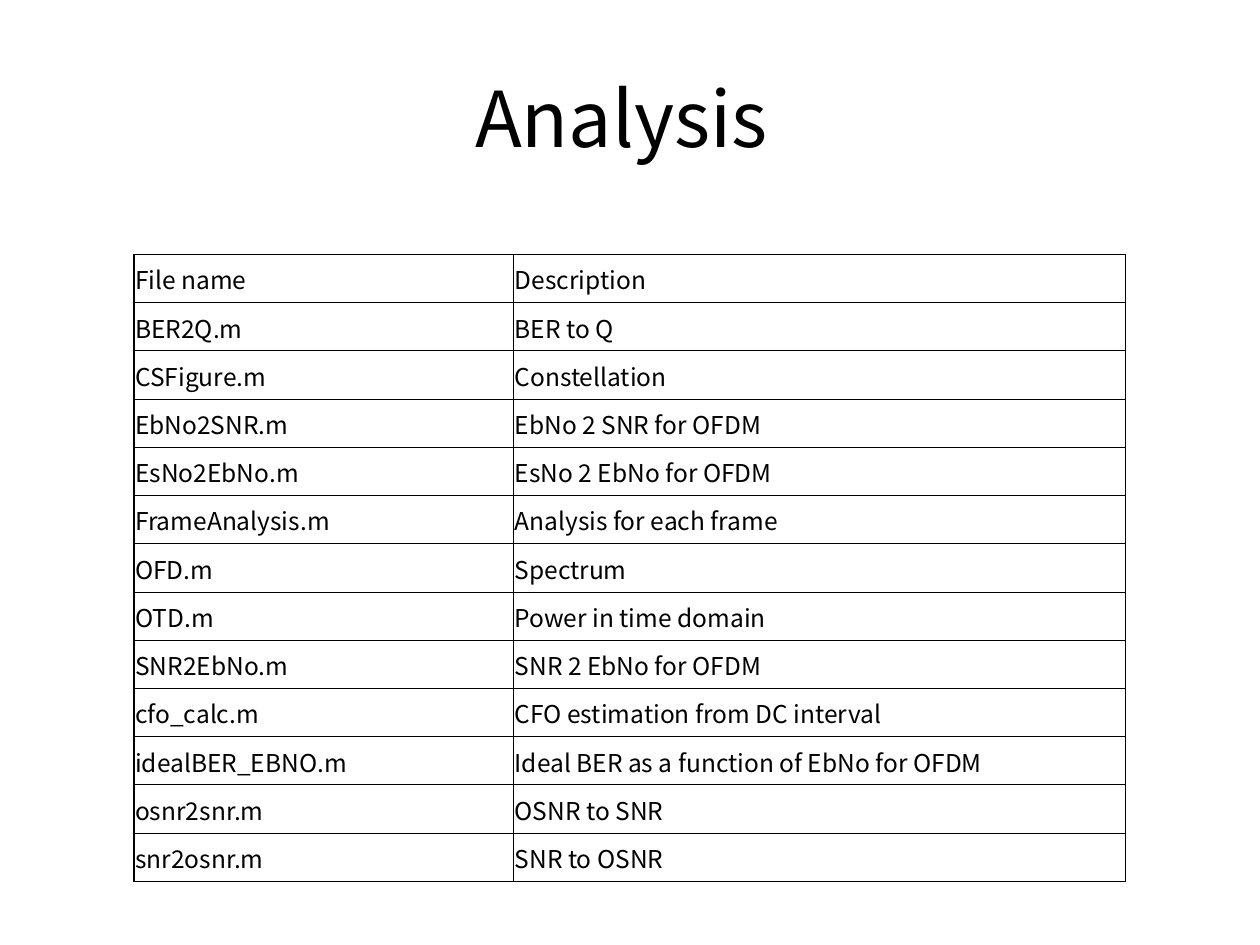
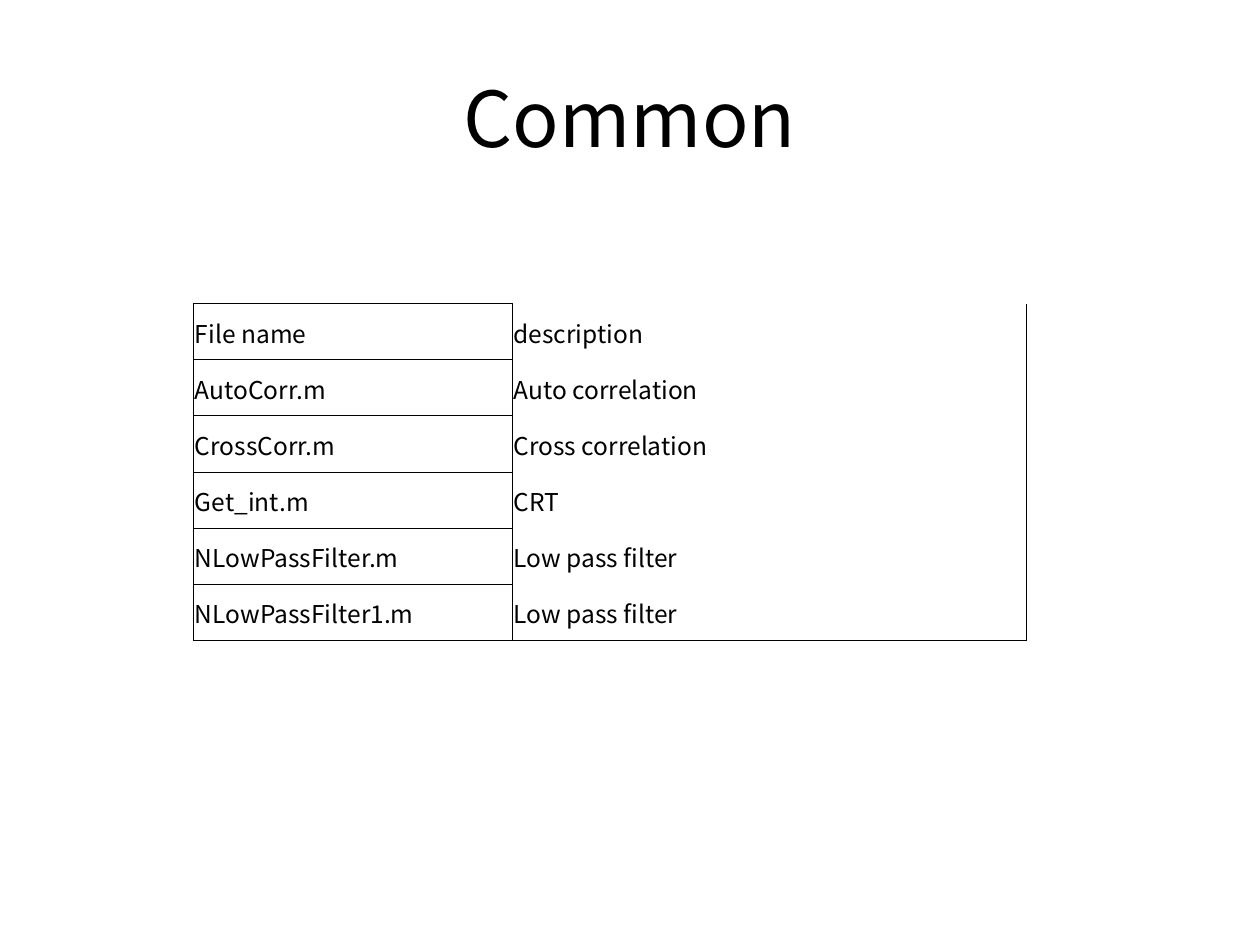
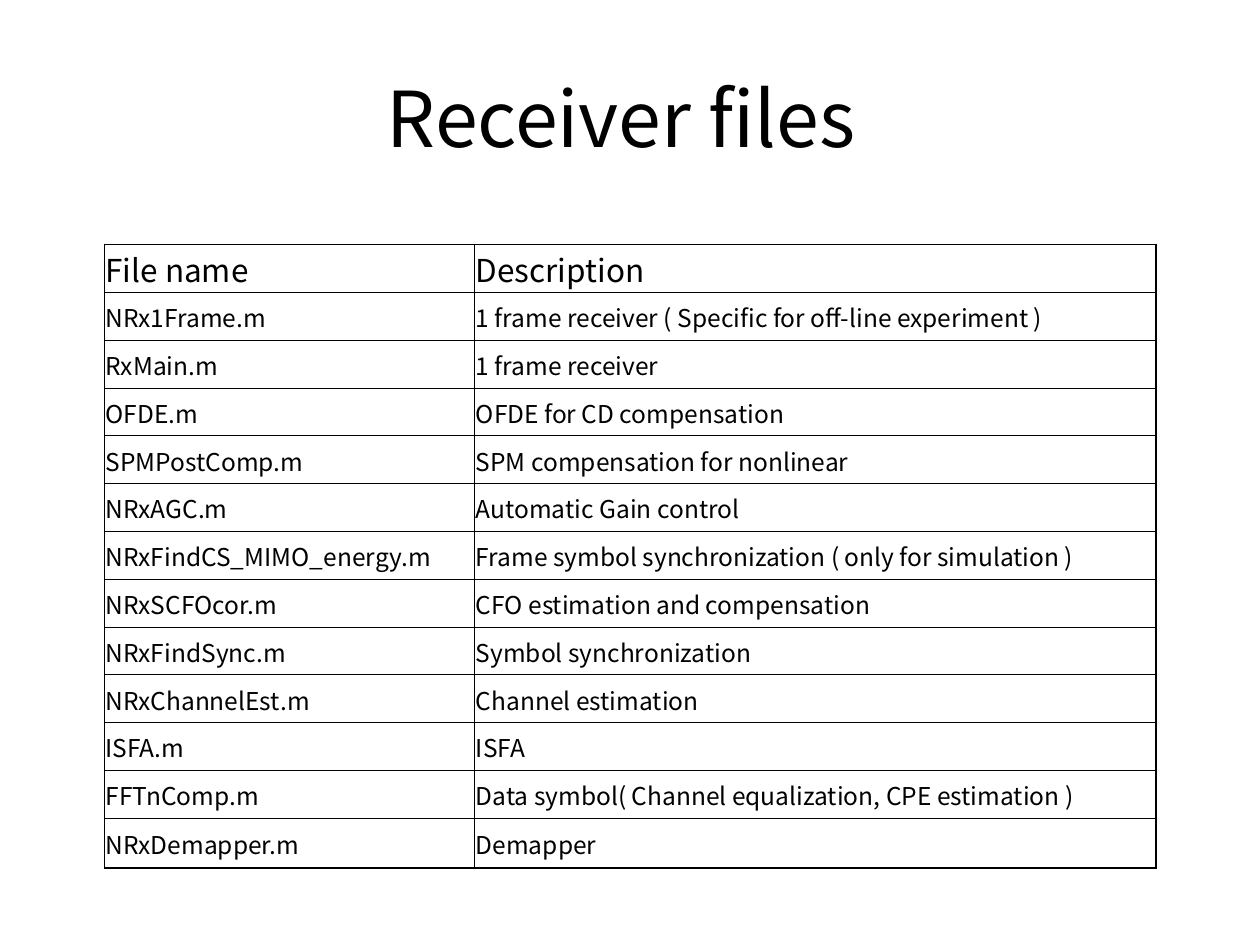
from lxml import etree
from pptx import Presentation
from pptx.dml.color import RGBColor
from pptx.enum import text
from pptx.oxml import ns
from pptx.util import Pt

BLACK = RGBColor(0, 0, 0)
FONT = "Noto Sans CJK KR"
TITLE_SIZE, BODY_SIZE = 44, 14
THIN, THICK, NO_LINE = 0.5, 1, 0
CELL_MARGIN = 0.72
BLANK_LAYOUT = 6

ANALYSIS = [
    ("File name", "Description"),
    ("BER2Q.m", "BER to Q"),
    ("CSFigure.m", "Constellation"),
    ("EbNo2SNR.m", "EbNo 2 SNR for OFDM"),
    ("EsNo2EbNo.m", "EsNo 2 EbNo for OFDM"),
    ("FrameAnalysis.m", "Analysis for each frame"),
    ("OFD.m", "Spectrum"),
    ("OTD.m", "Power in time domain"),
    ("SNR2EbNo.m", "SNR 2 EbNo for OFDM"),
    ("cfo_calc.m", "CFO estimation from DC interval"),
    ("idealBER_EBNO.m", "Ideal BER as a function of EbNo for OFDM"),
    ("osnr2snr.m", "OSNR to SNR"),
    ("snr2osnr.m", "SNR to OSNR"),
]
COMMON = [
    ("File name", "description"),
    ("AutoCorr.m", "Auto correlation"),
    ("CrossCorr.m", "Cross correlation"),
    ("Get_int.m", "CRT"),
    ("NLowPassFilter.m", "Low pass filter"),
    ("NLowPassFilter1.m", "Low pass filter"),
]
RECEIVER = [
    ("File name", "Description"),
    ("NRx1Frame.m", "1 frame receiver ( Specific for off-line experiment )"),
    ("RxMain.m", "1 frame receiver"),
    ("OFDE.m", "OFDE for CD compensation"),
    ("SPMPostComp.m", "SPM compensation for nonlinear"),
    ("NRxAGC.m", "Automatic Gain control"),
    ("NRxFindCS_MIMO_energy.m", "Frame symbol synchronization ( only for simulation )"),
    ("NRxSCFOcor.m", "CFO estimation and compensation"),
    ("NRxFindSync.m", "Symbol synchronization"),
    ("NRxChannelEst.m", "Channel estimation"),
    ("ISFA.m", "ISFA"),
    ("FFTnComp.m", "Data symbol( Channel equalization, CPE estimation )"),
    ("NRxDemapper.m", "Demapper"),
]


def set_font(para, size):
    para.font.name = FONT
    para.font.size = Pt(size)
    para.font.color.rgb = BLACK


def add_page(deck, title):
    page = deck.slides.add_slide(deck.slide_layouts[BLANK_LAYOUT])
    box = page.shapes.add_textbox(Pt(36), Pt(21.6), Pt(648), Pt(90))
    frame = box.text_frame
    frame.word_wrap = True
    frame.vertical_anchor = text.MSO_ANCHOR.MIDDLE
    para = frame.paragraphs[0]
    para.text = title
    para.alignment = text.PP_ALIGN.CENTER
    set_font(para, TITLE_SIZE)
    return page


def set_borders(cell, **widths):
    """Draw the cell's sides; widths go in the order L, R, T, B."""
    properties = cell._tc.get_or_add_tcPr()
    for side, width in widths.items():
        line = etree.SubElement(properties, ns.qn(f"a:ln{side}"), w=str(Pt(width)))
        if width:
            fill = etree.SubElement(line, ns.qn("a:solidFill"))
            etree.SubElement(fill, ns.qn("a:srgbClr"), val=str(BLACK))
        else:
            etree.SubElement(line, ns.qn("a:noFill"))


def fill_cell(cell, words, size):
    cell.margin_left = cell.margin_right = cell.margin_top = Pt(CELL_MARGIN)
    cell.margin_bottom = 0
    cell.vertical_anchor = text.MSO_ANCHOR.MIDDLE
    cell.text = words
    set_font(cell.text_frame.paragraphs[0], size)


def add_file_table(page, files, left, top, widths, row_height, last_height=None,
                   header_size=BODY_SIZE, top_line=THIN, divider=THIN,
                   row_lines=(THIN, THIN)):
    """Add a table of files; row_lines holds the width of each column's row lines."""
    last = len(files) - 1
    heights = [row_height] * last + [last_height or row_height]
    table = page.shapes.add_table(len(files), len(widths), Pt(left), Pt(top),
                                  Pt(sum(widths)), Pt(sum(heights))).table
    table.first_row = table.horz_banding = False
    for column, width in zip(table.columns, widths):
        column.width = Pt(width)
    for index, (entry, height) in enumerate(zip(files, heights)):
        row = table.rows[index]
        row.height = Pt(height)
        for side, (cell, words, row_line) in enumerate(zip(row.cells, entry, row_lines)):
            fill_cell(cell, words, BODY_SIZE if index else header_size)
            set_borders(cell,
                        L=divider if side else THICK,
                        R=THICK if side else divider,
                        T=top_line if row_line and index == 0 else row_line,
                        B=THICK if index == last else row_line)
            cell.fill.background()


def main():
    deck = Presentation()
    deck.slide_width, deck.slide_height = Pt(720), Pt(540)

    add_file_table(add_page(deck, "Analysis "), ANALYSIS, 76.5, 145.4,
                   (216.9, 349.9), 27.58)
    add_file_table(add_page(deck, "Common"), COMMON, 110.7, 173.5,
                   (182.1, 293.9), 32.08, divider=THICK, row_lines=(THIN, NO_LINE))
    add_file_table(add_page(deck, "Receiver files "), RECEIVER, 59.6, 139.7,
                   (211.6, 389.5), 27.33, last_height=28.5,
                   header_size=18, top_line=THICK)
    deck.save("out.pptx")


if __name__ == "__main__":
    main()
